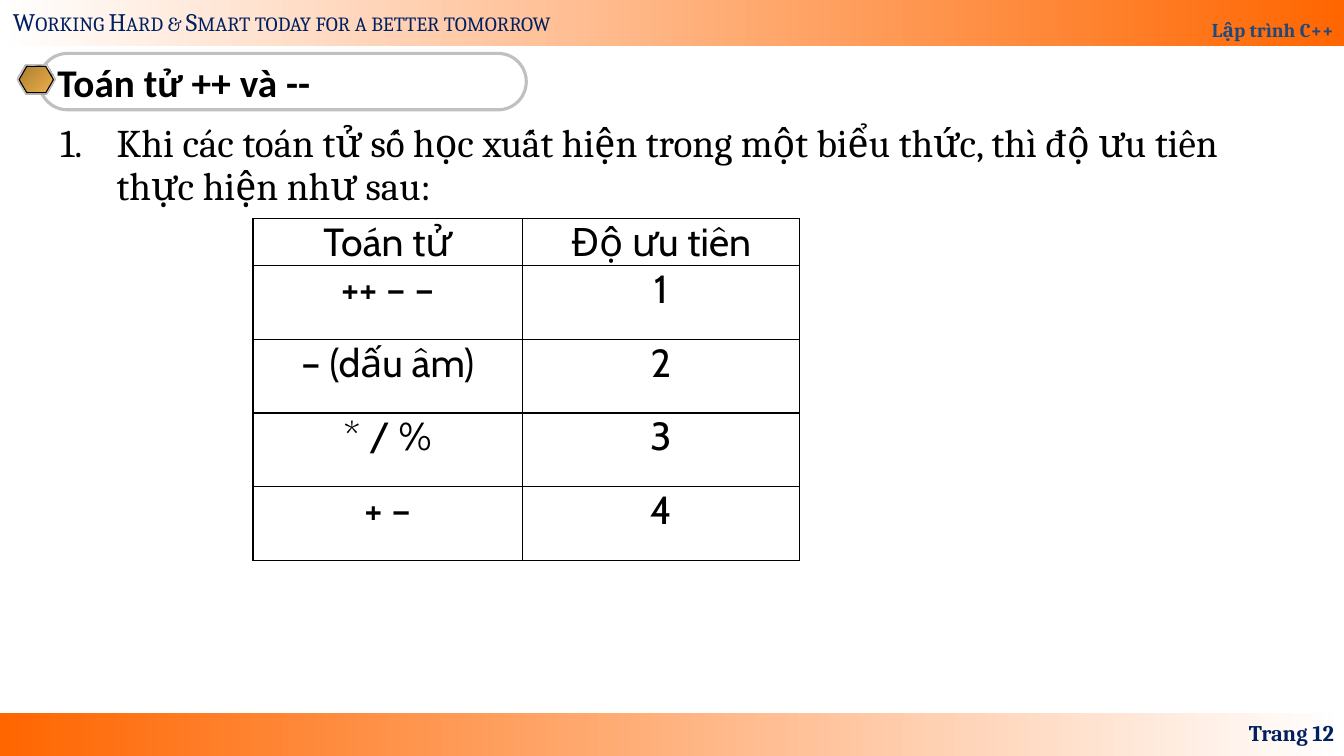
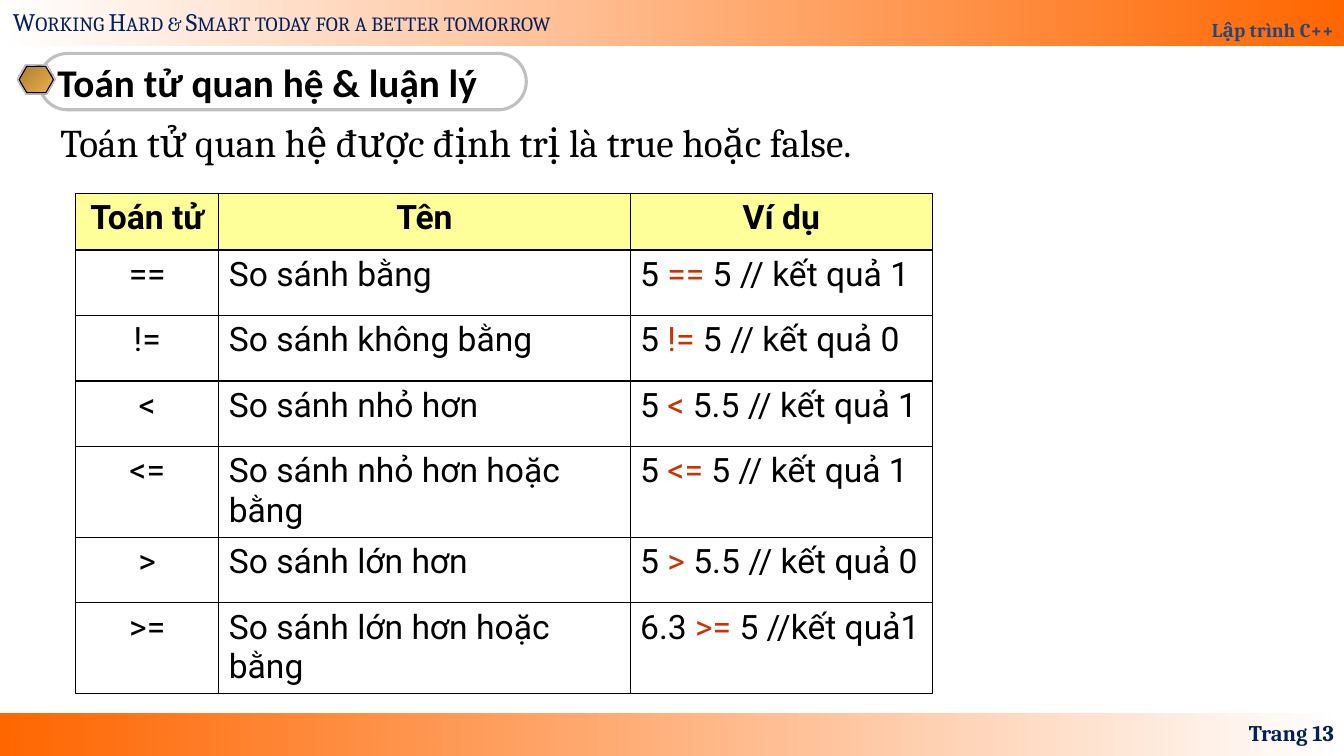
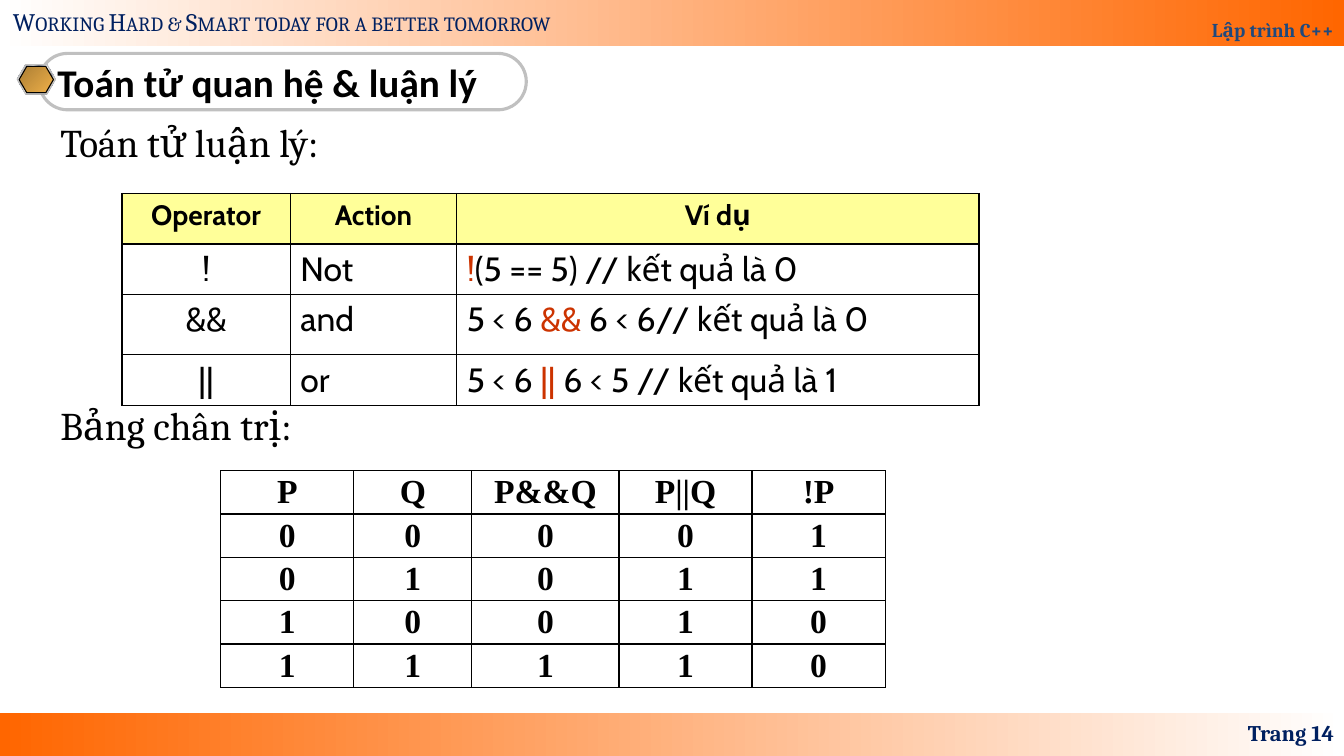
from copy import deepcopy

from lxml import etree
from pptx import Presentation
from pptx.dml.color import RGBColor
from pptx.enum.shapes import MSO_SHAPE
from pptx.enum.text import MSO_ANCHOR, PP_ALIGN
from pptx.oxml.ns import qn
from pptx.util import Inches, Pt

LEFT, CENTER, RIGHT = PP_ALIGN.LEFT, PP_ALIGN.CENTER, PP_ALIGN.RIGHT
TOP, MIDDLE, BOTTOM = MSO_ANCHOR.TOP, MSO_ANCHOR.MIDDLE, MSO_ANCHOR.BOTTOM
RECTANGLE, PILL, HEXAGON = MSO_SHAPE.RECTANGLE, MSO_SHAPE.ROUNDED_RECTANGLE, MSO_SHAPE.HEXAGON

rgb = RGBColor.from_string
BLACK, WHITE, ORANGE = "000000", "FFFFFF", "FF6600"
NAVY, BLUE, SILVER = "002060", "1F497D", "C0C0C0"
HEADER_YELLOW, OPERATOR_RED = "FFFF99", "CC3300"

SLATE, PALE = "7D8496", "E6E6E6"
METAL = [(0, PALE), (7, SLATE), (26, PALE), (34, SLATE), (46, PALE), (50, WHITE),
         (54, PALE), (66, SLATE), (74, PALE), (93, SLATE), (100, PALE)]
GOLD = [(0, "AB7E34"), (100, "EFB049")]

# preset, place, adjustment, gradient stops or solid colour, clockwise angle, line
DECORATIONS = [
    (RECTANGLE, (0, 7.07, 13.33, 0.43), None, [(0, ORANGE), (100, WHITE)], 0, None),
    (RECTANGLE, (0, 0, 13.33, 0.46), None, [(0, WHITE), (100, ORANGE)], 0, None),
    (PILL, (0.39, 0.53, 4.83, 0.56), 0.5, None, 0, (SILVER, 2.25)),
    (HEXAGON, (0.17, 0.65, 0.38, 0.29), 0.29, "808080", 0, None),
    (HEXAGON, (0.17, 0.64, 0.38, 0.29), 0.29, METAL, 45, (SILVER, 0.75)),
    (HEXAGON, (0.19, 0.66, 0.34, 0.26), 0.29, GOLD, 45, (BLACK, 0.75)),
]


def write(paragraph, spans, font, size, color=BLACK, bold=False, align=LEFT):
    """Fill a paragraph; in a tuple of spans the second one is highlighted."""
    if isinstance(spans, str):
        spans = (spans,)
    paragraph.alignment = align
    for index, text in enumerate(spans):
        if text:
            span = paragraph.add_run()
            span.text = text
            span.font.name = font
            span.font.size = Pt(size)
            span.font.bold = bold
            span.font.color.rgb = rgb(OPERATOR_RED if index == 1 else color)


def add_table(page, left, top, widths, heights, rows, font, size, header_size=None,
              header_fill=None, bold_header=False, bold_body=False,
              body_align=CENTER, tight=False, anchor=TOP):
    """Add a table with a black grid; its first column and header are centred."""
    table = page.shapes.add_table(
        len(heights), len(widths), Inches(left), Inches(top),
        Inches(sum(widths)), Inches(sum(heights))).table
    table.first_row = table.horz_banding = False
    for column, width in zip(table.columns, widths):
        column.width = Inches(width)
    for row, height in zip(table.rows, heights):
        row.height = Inches(height)
    for row_index, row in enumerate(rows):
        is_header = row_index == 0
        for column_index, spans in enumerate(row):
            cell = table.cell(row_index, column_index)
            cell.vertical_anchor = anchor
            if tight:
                cell.margin_left = cell.margin_right = Inches(0.07)
                cell.margin_top = cell.margin_bottom = 0
            properties = cell._tc.get_or_add_tcPr()
            for side in ("lnL", "lnR", "lnT", "lnB"):
                border = etree.SubElement(properties, qn(f"a:{side}"), w=str(Pt(1)))
                solid = etree.SubElement(border, qn("a:solidFill"))
                etree.SubElement(solid, qn("a:srgbClr"), val=BLACK)
            if is_header and header_fill:
                cell.fill.solid()
                cell.fill.fore_color.rgb = rgb(header_fill)
            else:
                cell.fill.background()
            write(cell.text_frame.paragraphs[0], spans, font,
                  header_size if is_header and header_size else size,
                  bold=bold_header if is_header else bold_body,
                  align=CENTER if is_header or column_index == 0 else body_align)


deck = Presentation()
deck.slide_width, deck.slide_height = Inches(13.33), Inches(7.5)

# title, body lines
CONTENTS = [
    ("Toán tử ++ và --",
     ["Khi các toán tử số học xuất hiện trong một biểu thức, thì độ ưu tiên thực hiện như sau:"]),
    ("Toán tử quan hệ & luận lý", ["Toán tử quan hệ được định trị là true hoặc false."]),
    ("Toán tử quan hệ & luận lý", ["Toán tử luận lý:", "Bảng chân trị:"]),
]

pages = []
for number, (title, lines) in enumerate(CONTENTS, start=12):
    page = deck.slides.add_slide(deck.slide_layouts[6])
    pages.append(page)

    shapes = []
    for preset, place, adjustment, fill, angle, line in DECORATIONS:
        shape = page.shapes.add_shape(preset, *map(Inches, place))
        shape.shadow.inherit = False
        shapes.append(shape)
        if adjustment:
            shape.adjustments[0] = adjustment
        if fill is None:
            shape.fill.background()
        elif isinstance(fill, str):
            shape.fill.solid()
            shape.fill.fore_color.rgb = rgb(fill)
        else:
            shape.fill.gradient()
            shape.fill.gradient_angle = (360 - angle) % 360
            stop_list = shape._element.spPr.find(".//" + qn("a:gsLst"))
            while len(stop_list) < len(fill):
                stop_list.append(deepcopy(stop_list[0]))
            for stop, (position, color) in zip(shape.fill.gradient_stops, fill):
                stop.position = position / 100
                stop.color.rgb = rgb(color)
        if line:
            shape.line.color.rgb = rgb(line[0])
            shape.line.width = Pt(line[1])
        else:
            shape.line.fill.background()
    top_band, title_pill = shapes[1:3]

    slogan_box, number_box, body_box = [
        page.shapes.add_textbox(*map(Inches, place))
        for place in ((0.03, 0.01, 5.9, 0.4), (10.22, 7.07, 3.11, 0.4), (0.5, 1.18, 12.5, 5.74))]

    for box, anchor, text, font, size, color, bold, align in (
            (top_band, BOTTOM, "Lập trình C++", "Cambria", 14, BLUE, True, RIGHT),
            (title_pill, MIDDLE, title, "Calibri", 28, BLACK, True, LEFT),
            (slogan_box, TOP, "Working Hard & Smart today for a better tomorrow",
             "Cambria", 18, NAVY, False, LEFT),
            (number_box, MIDDLE, f"Trang {number}", "Cambria", 16, NAVY, True, RIGHT)):
        box.text_frame.word_wrap = True
        box.text_frame.vertical_anchor = anchor
        write(box.text_frame.paragraphs[0], text, font, size, color, bold, align)
    top_band.text_frame.paragraphs[0].line_spacing = 1.8
    slogan_box.text_frame.paragraphs[0].runs[0].font._element.set("cap", "small")

    body = body_box.text_frame
    body.word_wrap = True
    for index, text in enumerate(lines):
        paragraph = body.add_paragraph() if index else body.paragraphs[0]
        paragraph.line_spacing = 0.9
        if index:
            paragraph.space_before = Pt(172)
        write(paragraph, text, "Cambria", 28)

precedence_page, relation_page, logic_page = pages

numbered = precedence_page.shapes[-1].text_frame.paragraphs[0]._p.get_or_add_pPr()
numbered.set("marL", str(Inches(0.56)))
numbered.set("indent", str(-Inches(0.56)))
etree.SubElement(numbered, qn("a:buAutoNum"), type="arabicPeriod")

add_table(
    precedence_page, 2.51, 2.17, [2.67, 2.75], [0.43] + [0.73] * 4,
    [("Toán tử", "Độ ưu tiên"),
     ("++ – –", "1"),
     ("– (dấu âm)", "2"),
     ("* / %", "3"),
     ("+ –", "4")],
    "Cabin", 28, tight=True)

add_table(
    relation_page, 0.75, 1.92, [1.42, 4.08, 3], [0.56] + [0.65] * 5 + [0.77],
    [("Toán tử", "Tên", "Ví dụ"),
     ("==", "So sánh bằng", ("5 ", "==", " 5 // kết quả 1")),
     ("!=", "So sánh không bằng", ("5 ", "!=", " 5 // kết quả 0")),
     ("<", "So sánh nhỏ hơn", ("5 ", "<", " 5.5 // kết quả 1")),
     ("<=", "So sánh nhỏ hơn hoặc bằng", ("5 ", "<=", " 5 // kết quả 1")),
     (">", "So sánh lớn hơn", ("5 ", ">", " 5.5 // kết quả 0")),
     (">=", "So sánh lớn hơn hoặc bằng", ("6.3 ", ">=", " 5 //kết quả1"))],
    "Roboto", 24, header_fill=HEADER_YELLOW, bold_header=True, body_align=LEFT)

add_table(
    logic_page, 1.21, 1.92, [1.67, 1.65, 5.18], [0.5, 0.45, 0.6, 0.5],
    [("Operator", "Action", "Ví dụ"),
     ("!", "Not", ("", "!", "(5 == 5) // kết quả là 0")),
     ("&&", "and", ("5 < 6 ", "&& ", "6 < 6// kết quả là 0")),
     ("||", "or", ("5 < 6 ", "||", " 6 < 5 // kết quả là 1"))],
    "Cabin", 24, header_size=20, header_fill=HEADER_YELLOW, bold_header=True, body_align=LEFT)

truth_rows = [("P", "Q", "P&&Q", "P||Q", "!P")]
for p in (0, 1):
    for q in (0, 1):
        truth_rows.append([str(value) for value in (p, q, p & q, p | q, 1 - p)])
add_table(
    logic_page, 2.19, 4.67, [1.32, 1.17, 1.46, 1.32, 1.32], [0.43] * 5, truth_rows,
    "Times New Roman", 24, bold_header=True, bold_body=True, tight=True, anchor=MIDDLE)

deck.save("out.pptx")
